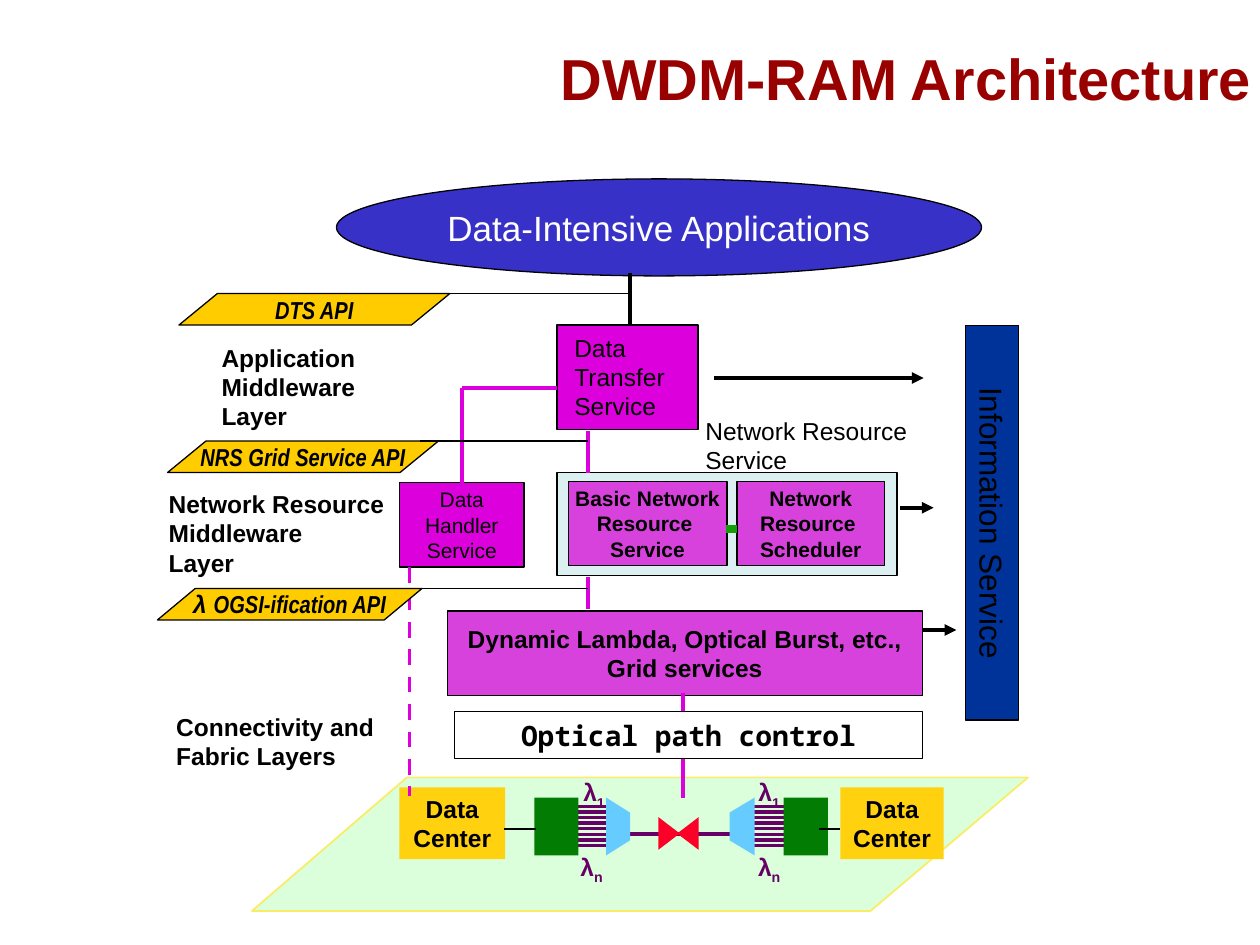
from lxml import etree
from pptx import Presentation
from pptx.dml.color import RGBColor
from pptx.enum.dml import MSO_LINE
from pptx.enum.shapes import MSO_CONNECTOR, MSO_SHAPE as Shape
from pptx.enum.text import MSO_ANCHOR as Anchor, PP_ALIGN as Align
from pptx.oxml.ns import qn
from pptx.util import Inches, Pt

BLACK, WHITE = "000000", "FFFFFF"
MAGENTA, ORCHID = "DC00DC", "D842DC"
PURPLE, GREEN, SKY, RED = "660066", "037C03", "66CCFF", "FC0128"
GOLD, AMBER = "FFD10F", "FFCC00"


def rgb(code):
    return RGBColor.from_string(code)


def paint(shape, fill, outline=None, width=0.75):
    shape.shadow.inherit = False
    shape.fill.solid()
    shape.fill.fore_color.rgb = rgb(fill)
    if outline:
        shape.line.color.rgb = rgb(outline)
        shape.line.width = Pt(width)
    else:
        shape.line.fill.background()


def write(shape, lines, size=14, color=BLACK, bold=False, italic=False,
          font="Arial", align=Align.CENTER, anchor=Anchor.MIDDLE, wrap=False):
    frame = shape.text_frame
    frame.word_wrap = wrap
    frame.vertical_anchor = anchor
    for index, line in enumerate(lines):
        paragraph = frame.add_paragraph() if index else frame.paragraphs[0]
        paragraph.alignment = align
        paragraph.font.size = Pt(size)
        paragraph.font.bold = bold
        paragraph.font.italic = italic
        paragraph.font.name = font
        paragraph.font.color.rgb = rgb(color)
        paragraph.add_run().text = line
    return frame


def add_block(slide, kind, box, fill, outline=None, width=0.75, rotation=0):
    block = slide.shapes.add_shape(kind, *map(Inches, box))
    block.rotation = rotation
    paint(block, fill, outline, width)
    return block


def add_label(slide, box, lines, **style):
    label = slide.shapes.add_textbox(*map(Inches, box))
    return write(label, lines, **{"align": Align.LEFT, "anchor": Anchor.TOP, **style})


def add_polygon(slide, points, fill, outline=None, width=1):
    corners = [(Inches(x), Inches(y)) for x, y in points]
    builder = slide.shapes.build_freeform(*corners[0])
    builder.add_line_segments(corners[1:], close=True)
    paint(builder.convert_to_shape(), fill, outline, width)


def add_line(slide, x1, y1, x2, y2, color=BLACK, width=0.75, dashed=False, arrow=False):
    line = slide.shapes.add_connector(
        MSO_CONNECTOR.STRAIGHT, *map(Inches, (x1, y1, x2, y2)))
    line.line.color.rgb = rgb(color)
    line.line.width = Pt(width)
    if dashed:
        line.line.dash_style = MSO_LINE.DASH
    if arrow:
        etree.SubElement(line.line._get_or_add_ln(), qn("a:tailEnd"), type="triangle")
    etree.SubElement(line._element.spPr, qn("a:effectLst"))


def add_lambda(slide, left, top, subscript):
    frame = add_label(slide, (left, top, 0.35, 0.35), ["λ"],
                      color=PURPLE, bold=True, align=Align.CENTER)
    frame.margin_left = frame.margin_right = 0
    frame.margin_top = frame.margin_bottom = Inches(0.04)
    run = frame.paragraphs[0].add_run()
    run.text = subscript
    run._r.get_or_add_rPr().set("baseline", "-25000")


def add_multiplexer(slide, fibers, labels, wide_x, narrow_x, switch_left):
    for channel in range(8):
        y = 6.4 + channel * 0.31 / 7
        add_line(slide, fibers[0], y, fibers[1], y, PURPLE, 2)
    for left, top, subscript in zip(labels, (6.13, 6.72), "1n"):
        add_lambda(slide, left, top, subscript)
    add_polygon(slide, [(wide_x, 6.33), (narrow_x, 6.45),
                        (narrow_x, 6.67), (wide_x, 6.79)], SKY)
    add_block(slide, Shape.RECTANGLE, (switch_left, 6.33, 0.35, 0.46), GREEN)


def add_data_center(slide, left, width):
    center = add_block(slide, Shape.RECTANGLE, (left, 6.25, width, 0.57), GOLD)
    write(center, ["Data", "Center"], bold=True, anchor=Anchor.TOP)


def add_fabric(slide):
    add_polygon(slide, [(3.23, 6.17), (8.16, 6.17), (6.91, 7.23), (2, 7.23)],
                "DBFFDB", "FAEC64")
    add_line(slide, 4.92, 6.62, 5.83, 6.62, PURPLE, 2)
    for left, rotation in ((5.18, 90), (5.33, 270)):
        add_block(slide, Shape.ISOSCELES_TRIANGLE, (left, 6.53, 0.26, 0.17), RED,
                  rotation=rotation)
    add_data_center(slide, 6.67, 0.82)
    add_multiplexer(slide, (4.52, 4.83), (4.54, 4.52), 4.81, 5, 4.24)
    add_multiplexer(slide, (6.29, 5.96), (5.93, 5.93), 5.99, 5.79, 6.22)
    add_data_center(slide, 3.17, 0.84)


def add_services(slide):
    rect = Shape.RECTANGLE
    applications = add_block(slide, Shape.OVAL, (2.67, 1.42, 5.12, 0.77), "3831C7", BLACK)
    write(applications, ["Data-Intensive Applications"], size=20, color=WHITE)

    grid_services = add_block(slide, rect, (3.55, 4.85, 3.77, 0.67), ORCHID, BLACK)
    write(grid_services, ["Dynamic Lambda, Optical Burst, etc., Grid services"],
          bold=True, wrap=True)

    add_block(slide, rect, (4.42, 2.58, 1.12, 0.83), MAGENTA, BLACK, 1)
    transfer = add_block(slide, rect, (4.46, 2.59, 1, 0.8), MAGENTA)
    write(transfer, ["Data", "Transfer Service"], align=Align.LEFT,
          anchor=Anchor.TOP, wrap=True)

    add_block(slide, rect, (4.42, 3.75, 2.7, 0.82), "DDF0F1", BLACK)
    for left, width, lines in (
            (4.51, 1.26, ["Basic Network", "Resource ", "Service"]),
            (5.85, 1.17, ["Network", "Resource ", "Scheduler"])):
        resource = add_block(slide, rect, (left, 3.82, width, 0.67), ORCHID, BLACK)
        write(resource, lines, size=12, bold=True)
    add_line(slide, 5.76, 4.2, 5.85, 4.2, "119E06", 4.5)
    add_label(slide, (5.5, 3.25, 1.86, 0.57), ["Network Resource", "Service"])

    handler = add_block(slide, rect, (3.17, 3.83, 0.99, 0.67), MAGENTA, BLACK)
    write(handler, ["Data", "Handler", "Service"], size=12)

    information = add_block(slide, rect, (6.31, 3.94, 3.13, 0.42), "003399", BLACK,
                            rotation=90)
    write(information, ["Information Service"], size=18)


def add_layer_names(slide):
    for box, lines, wrap in (
            ((1.66, 2.67, 1.31, 0.8), ["Application", "Middleware", "Layer"], False),
            ((1.24, 3.83, 2.34, 0.8), ["Network Resource", "Middleware", "Layer"], True),
            ((1.3, 5.6, 1.82, 0.57), ["Connectivity and", "Fabric Layers"], False)):
        add_label(slide, box, lines, bold=True, wrap=wrap)


def add_links(slide):
    for x1, x2, y in ((7.32, 7.59, 5), (7.14, 7.41, 4.03), (5.67, 7.33, 3)):
        add_line(slide, x1, y, x2, y, width=2.25, arrow=True)
    for x1, x2 in ((4, 4.25), (6.5, 6.67)):
        add_line(slide, x1, 6.58, x2, 6.58)
    for x, y1, y2 in ((4.67, 3.42, 3.75), (3.67, 3.08, 3.83),
                      (5.42, 5.5, 6.33), (4.67, 4.58, 4.83)):
        add_line(slide, x, y1, x, y2, MAGENTA, 2.25)
    add_line(slide, 3.67, 3.08, 4.42, 3.08, MAGENTA, 2.25)
    add_line(slide, 3.25, 4.5, 3.25, 6.32, MAGENTA, 2.25, dashed=True)
    add_line(slide, 5, 2.17, 5, 2.58, width=2.25)


def add_api(slide, left, top, width, slant, name, link_start, link_end):
    api = add_block(slide, Shape.PARALLELOGRAM, (left, top, width, 0.25), AMBER, BLACK)
    api.adjustments[0] = slant
    frame = write(api, [name], bold=True, italic=True, font="Arial Narrow")
    add_line(slide, link_start, top, link_end, top)
    return frame.paragraphs[0]


def main():
    deck = Presentation()
    deck.slide_width, deck.slide_height = Inches(10), Inches(7.5)
    slide = deck.slides.add_slide(deck.slide_layouts[6])

    add_label(slide, (0.72, -0.01, 9.31, 1.25), ["DWDM-RAM Architecture"], size=33,
              color="990000", bold=True, align=Align.RIGHT, anchor=Anchor.MIDDLE, wrap=True)
    add_fabric(slide)
    add_services(slide)
    add_layer_names(slide)
    add_links(slide)

    ogsi = add_api(slide, 1.25, 4.67, 2.1, 1.2, "λ ", 3.24, 4.67)
    ogsi.runs[0].font.name = "Arial"
    ogsi.add_run().text = "OGSI-ification API"
    add_api(slide, 1.33, 3.5, 2.15, 1.22, "NRS Grid Service API", 3.33, 4.67)
    add_api(slide, 1.42, 2.33, 2.15, 1.22, "DTS API", 3.5, 5)

    path_control = add_block(slide, Shape.RECTANGLE, (3.61, 5.65, 3.71, 0.37), WHITE, BLACK)
    write(path_control, ["Optical path control"], size=16, bold=True,
          font="Noto Sans Mono", anchor=Anchor.TOP, wrap=True)
    deck.save("out.pptx")


if __name__ == "__main__":
    main()
